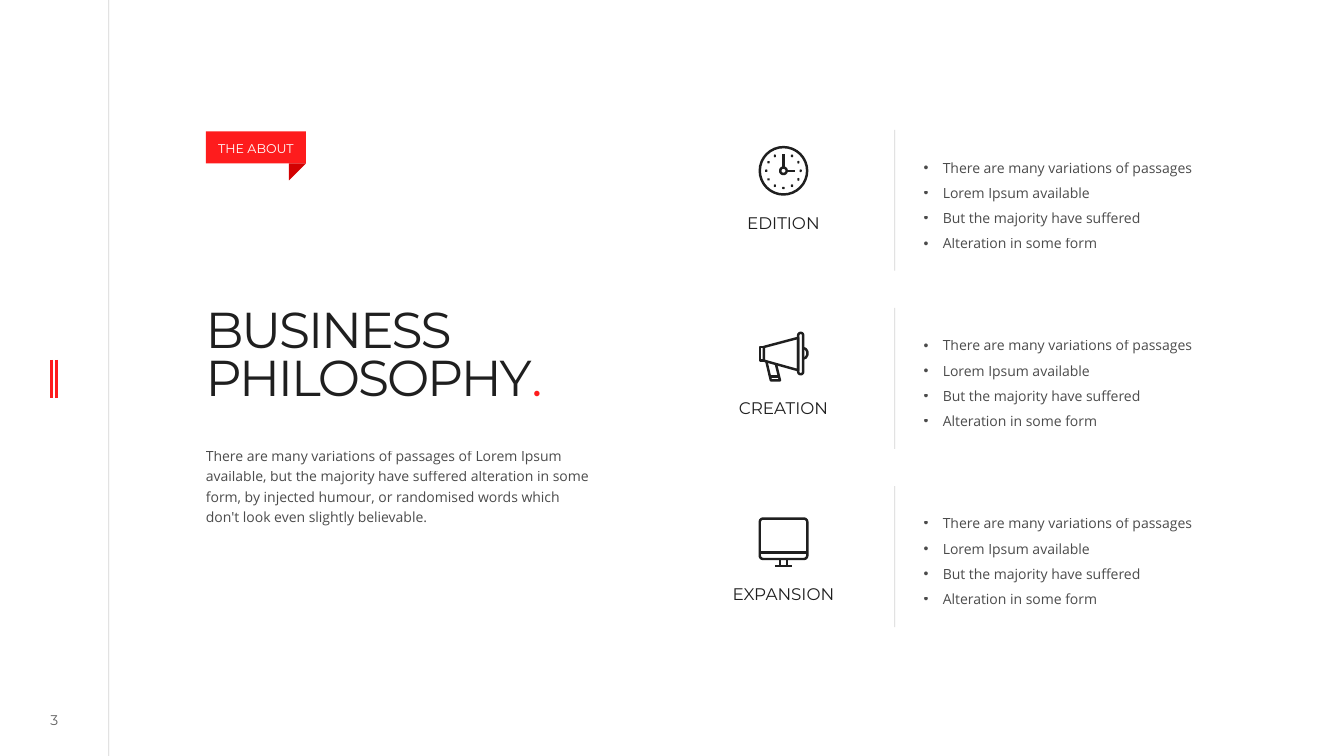
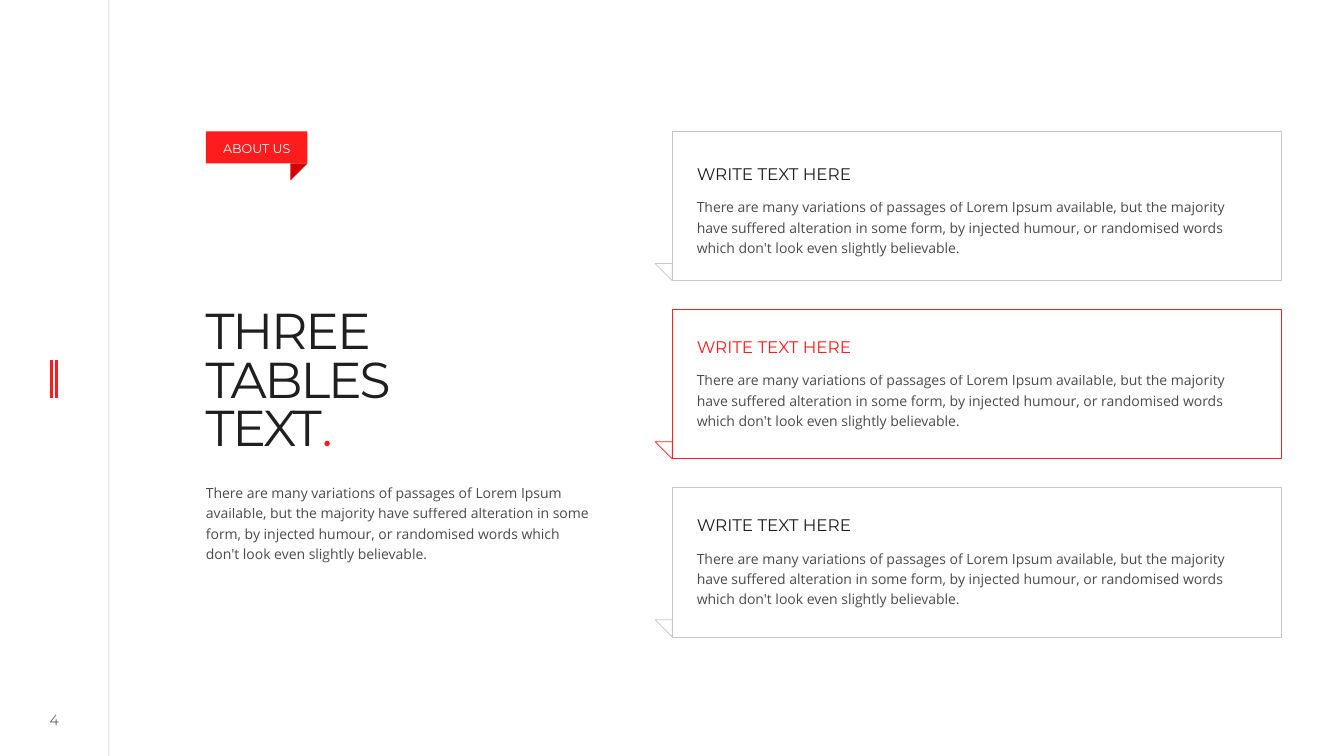
from math import cos, radians, sin

from lxml.etree import SubElement
from pptx import Presentation
from pptx.dml.color import RGBColor
from pptx.enum.shapes import MSO_CONNECTOR as Connector, MSO_SHAPE as Preset
from pptx.enum.text import MSO_ANCHOR as Anchor, PP_ALIGN as Align
from pptx.oxml.ns import qn
from pptx.util import Cm, Pt

INK = RGBColor(0x1F, 0x1F, 0x1F)
RED = RGBColor(0xFE, 0x1C, 0x1D)
DARK_RED = RGBColor(0xD3, 0x01, 0x02)
GREY = RGBColor(0xC7, 0xC7, 0xC7)
WHITE = RGBColor(0xFF, 0xFF, 0xFF)
HEAD_FONT, BODY_FONT = "Montserrat", "Open Sans"

LEFT, TOP = 5.19, 3.31     # left column and top edge, in cm
ROW_STEP = 4.49            # distance between the three rows
FOLD = 0.43                # side of the folded corners
ICON_UNIT = 1.25 / 49      # icons are 49 units wide

PASSAGE = ("There are many variations of passages of Lorem Ipsum available, but "
           "the majority have suffered alteration in some form, by injected humour, "
           "or randomised words which don't look even slightly believable. ")
POINTS = ["There are many variations of passages ", "Lorem Ipsum available",
          "But the majority have suffered ", "Alteration in some form"]


def fade(element, percent):
    """Make every colour inside the element partly transparent."""
    for colour in element.iter(qn("a:srgbClr")):
        SubElement(colour, qn("a:alpha")).set("val", str(percent * 1000))


def write(para, text, font=BODY_FONT, size=10, color=INK, opacity=100,
          tracking=0, align=Align.LEFT, leading=1.0, bullet=False):
    """Add text to a paragraph; a newline becomes a line break."""
    para.alignment = align
    para.line_spacing = leading
    for index, line in enumerate(text.split("\n")):
        if index:
            para.add_line_break()
        span = para.add_run()
        span.text = line
        span.font.name, span.font.size = font, Pt(size)
        span.font.color.rgb = color
        if opacity < 100:
            fade(span._r, opacity)
        if tracking:
            span.font._element.set("spc", str(int(tracking * 100)))
    if bullet:
        props = para._p.get_or_add_pPr()
        props.set("marL", str(Cm(0.48)))
        props.set("indent", str(-Cm(0.48)))
        SubElement(props, qn("a:buFont")).set("typeface", "Arial")
        SubElement(props, qn("a:buChar")).set("char", "•")


def rounded(x, y, width, height, radius, steps=3):
    """Corner points of a closed rectangle with rounded corners."""
    centres = [(x + width - radius, y + height - radius),
               (x + radius, y + height - radius),
               (x + radius, y + radius), (x + width - radius, y + radius)]
    points = []
    for quarter, (centre_x, centre_y) in enumerate(centres):
        for step in range(steps + 1):
            angle = radians(90 * (quarter + step / steps))
            points.append((centre_x + radius * cos(angle),
                           centre_y + radius * sin(angle)))
    return points + points[:1]


def circle(x, y, radius, steps):
    return rounded(x - radius, y - radius, 2 * radius, 2 * radius, radius, steps)


# Icon outlines, in icon units
def clock():
    middle = 24.5
    dots = [circle(middle + 17 * sin(radians(angle)),
                   middle - 17 * cos(radians(angle)), 0.2, 1)
            for angle in range(30, 360, 30)]
    return [circle(middle, middle, 23.4, 8), circle(middle, middle, 3.2, 4),
            [(middle, 21.3), (middle, 7.5)], [(27.7, middle), (35.5, middle)]] + dots


def megaphone():
    return [[(5, 15), (39, 6), (39, 38), (5, 28.5), (5, 15)],
            [(5, 15), (1, 15), (1, 28.5), (5, 28.5)],
            [(7.5, 29), (12, 48), (21, 48), (17, 32)],
            [(11, 44), (20, 44)],
            rounded(39, 1, 5, 41, 2.5),
            [(44, 16), (46.5, 17), (48, 19.5), (48, 23), (46.5, 25.5), (44, 26.5)]]


def monitor():
    return [rounded(1, 1, 47, 40, 3.3), [(1, 34.5), (48, 34.5)],
            [(21, 41), (21, 48)], [(28, 41), (28, 48)], [(16, 48), (33, 48)]]


class Style:
    def __init__(self, deck):
        self.deck = deck
        self.page = None

    # Basic elements
    def paint(self, shape, fill=None, line=None, width=0.5):
        shape.shadow.inherit = False
        if fill is None:
            shape.fill.background()
        else:
            shape.fill.solid()
            shape.fill.fore_color.rgb = fill
        if line is None:
            shape.line.fill.background()
        else:
            shape.line.color.rgb = line
            shape.line.width = Pt(width)
        return shape

    def shape(self, preset, x, y, width, height, flip=False, turn=0, **look):
        shape = self.page.shapes.add_shape(
            preset, Cm(x), Cm(y), Cm(width), Cm(height))
        if flip:
            shape._element.spPr.xfrm.set("flipV", "1")
        shape.rotation = turn
        return self.paint(shape, **look)

    def line(self, x1, y1, x2, y2, color=INK, width=0.5, opacity=100):
        line = self.page.shapes.add_connector(
            Connector.STRAIGHT, Cm(x1), Cm(y1), Cm(x2), Cm(y2))
        line.line.color.rgb = color
        line.line.width = Pt(width)
        if opacity < 100:
            fade(line._element, opacity)
        SubElement(line._element.spPr, qn("a:effectLst"))

    def icon(self, x, y, strokes):
        builder = None
        for stroke in strokes:
            points = [(Cm(x + across * ICON_UNIT), Cm(y + down * ICON_UNIT))
                      for across, down in stroke]
            if builder is None:
                builder = self.page.shapes.build_freeform(*points[0])
            else:
                builder.move_to(*points[0])
            builder.add_line_segments(points[1:], close=stroke[0] == stroke[-1])
        self.paint(builder.convert_to_shape(), line=INK, width=1.75)

    def frame(self, shape, top=0.13, bottom=0.13, anchor=Anchor.TOP):
        frame = shape.text_frame
        frame.word_wrap = True
        frame.margin_left = frame.margin_right = 0
        frame.margin_top, frame.margin_bottom = Cm(top), Cm(bottom)
        frame.vertical_anchor = anchor
        return frame

    def text(self, x, y, width, height, *lines, top=0.13, bottom=0.13,
             anchor=Anchor.TOP, **look):
        box = self.page.shapes.add_textbox(Cm(x), Cm(y), Cm(width), Cm(height))
        frame = self.frame(box, top, bottom, anchor)
        for index, line in enumerate(lines):
            para = frame.add_paragraph() if index else frame.paragraphs[0]
            write(para, line, **look)
        return frame

    # Shared parts of the pages
    def new_page(self, number):
        self.page = self.deck.slides.add_slide(self.deck.slide_layouts[6])
        self.line(2.74, 0, 2.74, 19.05, opacity=20)
        for x in (1.3, 1.42):
            self.line(x, 9.07, x, 10.03, RED, 2)
        self.text(0.66, 17.82, 1.42, 0.64, str(number), top=0, bottom=0,
                  anchor=Anchor.MIDDLE, font=HEAD_FONT, opacity=70,
                  align=Align.CENTER)

    def title(self, text, y):
        look = dict(font=HEAD_FONT, size=36, tracking=-1.5, leading=0.8)
        frame = self.text(5.18, y, 11.73, 4.5, text, top=0.53, bottom=0, **look)
        write(frame.paragraphs[0], ".", **{**look, "color": RED})

    def heading(self, text, x, y, width, **look):
        self.text(x, y, width, 0.67, text, font=HEAD_FONT, size=12,
                  leading=0.7, **look)

    def passage(self, x, y, width, height):
        self.text(x, y, width, height, PASSAGE, opacity=80, leading=1.2)

    def tag(self, text, width):
        tag = self.shape(Preset.RECTANGLE, LEFT, TOP, width, 0.81, fill=RED)
        frame = self.frame(tag, top=0.18, anchor=Anchor.MIDDLE)
        write(frame.paragraphs[0], text, font=HEAD_FONT, size=9, color=WHITE,
              align=Align.CENTER)
        self.shape(Preset.RIGHT_TRIANGLE, LEFT + width - FOLD, TOP + 0.81,
                   FOLD, FOLD, flip=True, fill=DARK_RED)

    def card(self, y, heading_gap, border, color):
        x, height = 16.94, 3.76
        self.shape(Preset.RECTANGLE, x, y, 15.35, height, line=border)
        self.shape(Preset.RIGHT_TRIANGLE, x - FOLD, y + height - FOLD,
                   FOLD, FOLD, flip=True, turn=90, line=border)
        self.heading("WRITE TEXT HERE", 17.56, y + heading_gap, 14.12, color=color)
        self.passage(17.56, y + heading_gap + 0.66, 14.12, 1.75)


deck = Presentation()
deck.slide_width, deck.slide_height = Cm(33.87), Cm(19.05)
style = Style(deck)

# Page 3: three topics with icons and points
style.new_page(3)
style.title("BUSINESS\nPHILOSOPHY", 7.28)
style.passage(LEFT, 11.07, 9.8, 2.26)
style.tag("THE ABOUT", 2.52)
topics = [("EDITION", clock), ("CREATION", megaphone), ("EXPANSION", monitor)]
for row, (name, strokes) in enumerate(topics):
    style.heading(name, 16.94, 5.36 + row * 4.68, 5.61, align=Align.CENTER)
    divider_top = 3.27 + row * ROW_STEP
    style.line(22.55, divider_top, 22.55, divider_top + 3.55, opacity=20)
    style.text(23.28, 3.67 + row * 4.48, 8.99, 2.74, *POINTS,
               opacity=80, leading=1.5, bullet=True)
    style.icon(19.12, 3.68 + row * 4.68, strokes())

# Page 4: three cards, the middle one in red
style.new_page(4)
style.title("THREE\nTABLES\nTEXT", 7.31)
style.passage(LEFT, 12, 9.8, 2.26)
style.tag("ABOUT US", 2.56)
cards = [(0.83, GREY, INK), (0.7, RED, RED), (0.7, GREY, INK)]
for row, (heading_gap, border, color) in enumerate(cards):
    style.card(TOP + row * ROW_STEP, heading_gap, border, color)

deck.save("out.pptx")
